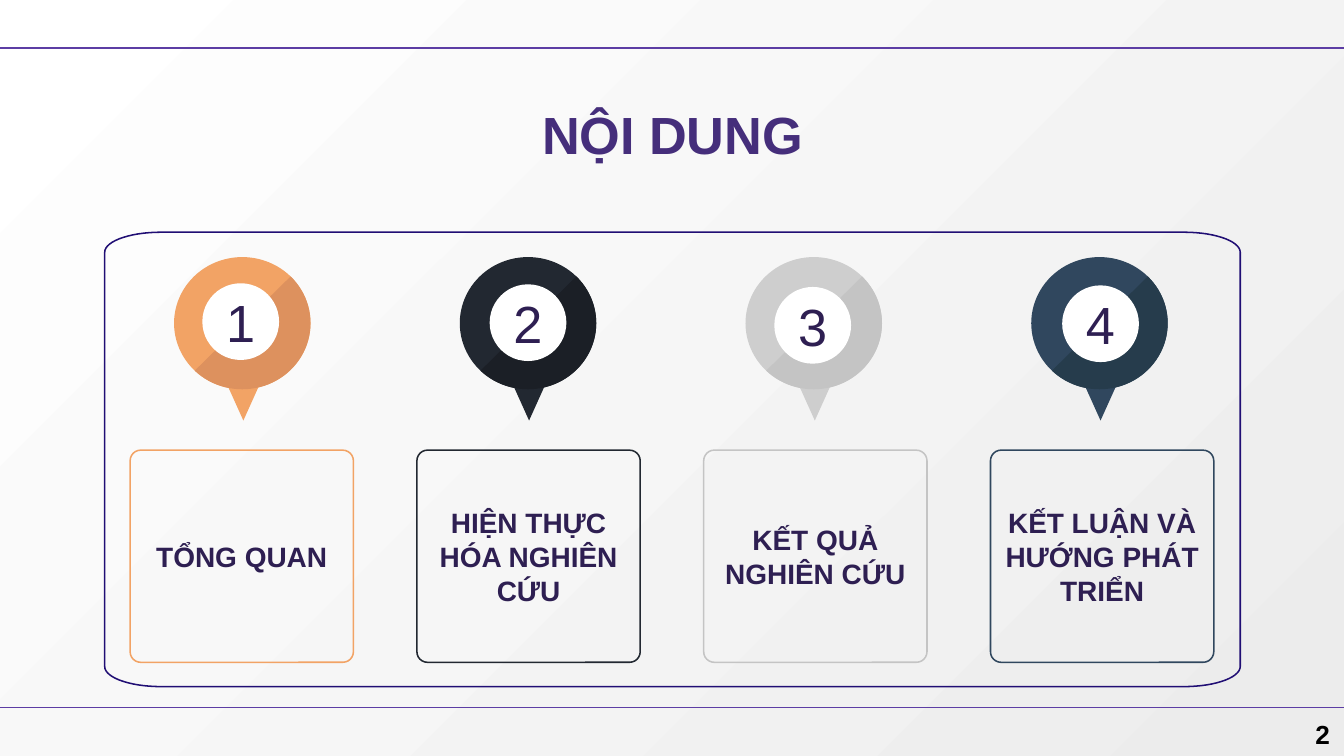
from math import cos, radians, sin

from lxml.etree import SubElement
from pptx import Presentation
from pptx.dml.color import RGBColor
from pptx.enum.shapes import MSO_CONNECTOR as Line, MSO_SHAPE as Shape
from pptx.enum.text import MSO_ANCHOR as Anchor, MSO_AUTO_SIZE as AutoSize, PP_ALIGN as Align
from pptx.oxml.ns import qn
from pptx.util import Cm, Pt

SLIDE_W, SLIDE_H = 25.4, 14.29
INK = "2E1F52"
FRAME = (1.98, 4.39, 21.46, 8.59)

# Pins and cards, repeated from left to right
CARD_LEFT, CARD_TOP, CARD_W, CARD_H, CARD_STEP = 2.46, 8.51, 4.22, 4.01, 5.42
LABEL_H = 2.38
PIN_X, PIN_Y, PIN_STEP = 4.58, 6.11, 5.4
HEAD_W, HEAD_H, HOLE = 2.58, 2.5, 1.45
TAIL_W, TAIL_H, TAIL_TOP = 0.73, 0.81, 7.14

# Label, pin colour, shaded half, card border, offset of the hole
SECTIONS = [
    ("TỔNG QUAN", "F2A365", "DD915E", "F2A365", (-0.03, -0.03)),
    ("HIỆN THỰC HÓA NGHIÊN CỨU", "222831", "1B1F26", "222831", (0, -0.01)),
    ("KẾT QUẢ NGHIÊN CỨU", "CECECE", "C4C4C4", "C4C4C4", (-0.02, 0.04)),
    ("KẾT LUẬN VÀ HƯỚNG PHÁT TRIỂN", "30475E", "263C4C", "30475E", (0.02, 0.01)),
]


def color(value):
    return RGBColor.from_string(value)


def box(left, top, width, height):
    return Cm(left), Cm(top), Cm(width), Cm(height)


def centred(x, y, width, height):
    return box(x - width / 2, y - height / 2, width, height)


def set_text(shape, text, size, ink, bold=True, align=Align.CENTER, inset=0.25, wrap=True):
    frame = shape.text_frame
    frame.text = text
    frame.auto_size = AutoSize.NONE
    frame.word_wrap = wrap
    frame.vertical_anchor = Anchor.MIDDLE
    frame.margin_left = frame.margin_right = Cm(inset)
    frame.margin_top = frame.margin_bottom = Cm(inset)
    paragraph = frame.paragraphs[0]
    paragraph.alignment = align
    font = paragraph.font
    font.name, font.size, font.bold = "Arial", Pt(size), bold
    font.color.rgb = color(ink)


def add_filled(shapes, kind, place, fill):
    part = shapes.add_shape(kind, *place)
    part.shadow.inherit = False
    part.fill.solid()
    part.fill.fore_color.rgb = color(fill)
    part.line.fill.background()
    return part


def outline(shape, border):
    shape.shadow.inherit = False
    shape.fill.background()
    shape.line.color.rgb = color(border)
    shape.line.width = Pt(0.81)


def add_rule(shapes, y):
    rule = shapes.add_connector(Line.STRAIGHT, 0, Cm(y), Cm(SLIDE_W), Cm(y))
    rule.line.color.rgb = color("5C3DA4")
    rule.line.width = Pt(0.75)
    SubElement(rule._element.spPr, qn("a:effectLst"))


def add_pin(shapes, number, x, fill, shade, hole_offset):
    pin = shapes.add_group_shape().shapes
    tail = box(x + 0.02 - TAIL_W / 2, TAIL_TOP, TAIL_W, TAIL_H)
    add_filled(pin, Shape.FLOWCHART_MERGE, tail, fill)
    head = centred(x, PIN_Y, HEAD_W, HEAD_H)
    add_filled(pin, Shape.OVAL, head, fill)
    # Lower right half; angles are 60000ths of a degree, adjustments 100000ths
    half = add_filled(pin, Shape.CHORD, head, shade)
    half.adjustments[0], half.adjustments[1] = 316 * 0.6, 135 * 0.6
    dx, dy = hole_offset
    hole = add_filled(pin, Shape.OVAL, centred(x + dx, PIN_Y + dy, HOLE, HOLE), "FFFFFF")
    set_text(hole, str(number), 28, INK, bold=False, inset=0, wrap=False)


def add_card(shapes, left, border):
    card = shapes.add_shape(Shape.ROUNDED_RECTANGLE, *box(left, CARD_TOP, CARD_W, CARD_H))
    card.adjustments[0] = 0.05
    outline(card, border)


def add_label(shapes, left, text):
    top = CARD_TOP + (CARD_H - LABEL_H) / 2
    label = shapes.add_textbox(*box(left, top, CARD_W, LABEL_H))
    set_text(label, text, 15, INK)


def add_frame(shapes):
    """Frame whose corners are quarter ellipses, wider than they are high."""
    left, top, width, height = FRAME
    rx, ry = 1.07, 0.38
    points = []
    corners = [(left + width - rx, top + height - ry), (left + rx, top + height - ry),
               (left + rx, top + ry), (left + width - rx, top + ry)]
    for quarter, (x, y) in enumerate(corners):
        for degrees in range(quarter * 90, quarter * 90 + 91, 6):
            angle = radians(degrees)
            points.append((Cm(x + rx * cos(angle)), Cm(y + ry * sin(angle))))
    builder = shapes.build_freeform(*points[0])
    builder.add_line_segments(points[1:], close=True)
    outline(builder.convert_to_shape(), "200E74")


def set_background(slide):
    fill = slide.background.fill
    fill.gradient()
    fill.gradient_angle = 315
    for stop, shade in zip(fill.gradient_stops, ("FFFFFF", "ECECEC")):
        stop.color.rgb = color(shade)


def main():
    deck = Presentation()
    deck.slide_width, deck.slide_height = Cm(SLIDE_W), Cm(SLIDE_H)
    slide = deck.slides.add_slide(deck.slide_layouts[5])
    shapes = slide.shapes
    set_background(slide)

    # Title between the rules
    for y in (0.91, 13.37):
        add_rule(shapes, y)
    title = shapes.title
    title.left, title.top, title.width, title.height = box(1.98, 1.85, 21.46, 1.35)
    set_text(title, "NỘI DUNG", 28, "452E7B")

    # Sections
    for index, (text, fill, shade, border, hole_offset) in enumerate(SECTIONS):
        card_left = CARD_LEFT + index * CARD_STEP
        add_card(shapes, card_left, border)
        add_pin(shapes, index + 1, PIN_X + index * PIN_STEP, fill, shade, hole_offset)
        add_label(shapes, card_left, text)
    add_frame(shapes)

    # Page number
    page = shapes.add_textbox(*box(24.61, 13.44, 0.79, 0.86))
    set_text(page, "2", 14, "000000", align=Align.LEFT, wrap=False)

    deck.save("out.pptx")


if __name__ == "__main__":
    main()
